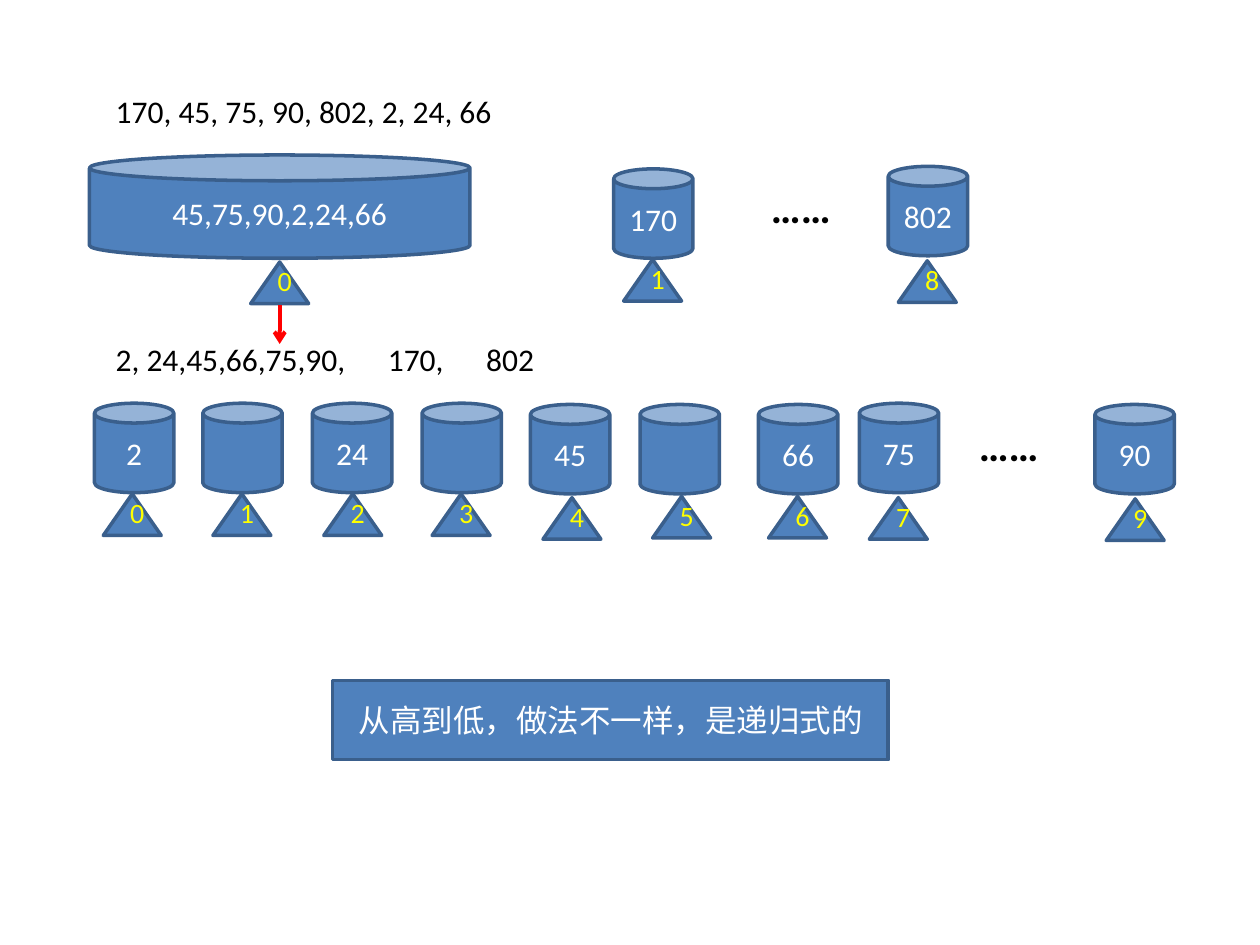
"""Builds a slide on recursive radix sort from the highest digit down."""
from dataclasses import dataclass

from lxml.etree import SubElement
from pptx import Presentation
from pptx.dml.color import RGBColor
from pptx.enum.shapes import MSO_CONNECTOR, MSO_SHAPE
from pptx.enum.text import MSO_ANCHOR, MSO_AUTO_SIZE, PP_ALIGN
from pptx.oxml.ns import qn
from pptx.util import Inches, Pt


@dataclass(frozen=True)
class Theme:
    font: str = "Calibri"
    fill: RGBColor = RGBColor(0x4F, 0x81, 0xBD)
    outline: RGBColor = RGBColor(0x3A, 0x5F, 0x8C)
    arrow: RGBColor = RGBColor(0xFF, 0x00, 0x00)
    dark: RGBColor = RGBColor(0x00, 0x00, 0x00)
    light: RGBColor = RGBColor(0xFF, 0xFF, 0xFF)
    digit: RGBColor = RGBColor(0xFF, 0xFF, 0x00)
    body_size: int = 18
    digit_size: int = 16
    dots_size: int = 24


theme = Theme()


def add_run(paragraph, text, size, color, bold=False):
    run = paragraph.add_run()
    run.text = text
    run.font.name = theme.font
    run.font.size = Pt(size)
    run.font.bold = bold
    run.font.color.rgb = color


def add_block(kind, box, text, size=theme.body_size, color=theme.light, anchor=MSO_ANCHOR.MIDDLE):
    shape = slide.shapes.add_shape(kind, *map(Inches, box))
    shape.shadow.inherit = False
    shape.fill.solid()
    shape.fill.fore_color.rgb = theme.fill
    shape.line.color.rgb = theme.outline
    shape.line.width = Pt(2)
    shape.text_frame.vertical_anchor = anchor
    if text:
        paragraph = shape.text_frame.paragraphs[0]
        paragraph.alignment = PP_ALIGN.CENTER
        add_run(paragraph, text, size, color)


presentation = Presentation()
presentation.slide_width = Inches(10)
presentation.slide_height = Inches(7.5)
slide = presentation.slides.add_slide(presentation.slide_layouts[6])

labels = [
    ((0.82, 0.68, 3.22, 0.4), "170, 45, 75, 90, 802, 2, 24, 66", theme.body_size, False, []),
    ((0.82, 2.65, 3.57, 0.4), "2, 24,45,66,75,90,\t170,\t802", theme.body_size, False, [2.16, 2.94]),
    ((6.02, 1.39, 1.33, 0.5), "……", theme.dots_size, True, []),
    ((7.67, 3.28, 1.33, 0.5), "……", theme.dots_size, True, []),
]
for box, text, size, bold, tab_stops in labels:
    text_box = slide.shapes.add_textbox(*map(Inches, box))
    text_box.text_frame.word_wrap = bold or bool(tab_stops)
    text_box.text_frame.auto_size = MSO_AUTO_SIZE.SHAPE_TO_FIT_TEXT
    paragraph = text_box.text_frame.paragraphs[0]
    if tab_stops:
        tab_list = SubElement(paragraph._p.get_or_add_pPr(), qn("a:tabLst"))
        for position in tab_stops:
            SubElement(tab_list, qn("a:tab"), pos=str(Inches(position)), algn="l")
    add_run(paragraph, text, size, theme.dark, bold)

can_width, can_height = 0.63, 0.71
triangle_width, triangle_height = 0.46, 0.33
buckets = [
    ("0", "45,75,90,2,24,66", 0.71, 1.23, 3.02, 0.82, 1.99, 2.08),
    ("1", "170", 4.87, 1.34, can_width, can_height, 4.95, 2.06),
    ("8", "802", 7.05, 1.32, can_width, can_height, 7.13, 2.07),
]
tens_buckets = [
    ("2", 0.75, 3.2, 0.82, 3.92),
    ("", 1.61, 3.2, 1.69, 3.92),
    ("24", 2.48, 3.2, 2.57, 3.92),
    ("", 3.35, 3.2, 3.43, 3.92),
    ("45", 4.21, 3.21, 4.31, 3.95),
    ("", 5.08, 3.21, 5.18, 3.94),
    ("66", 6.02, 3.21, 6.1, 3.94),
    ("75", 6.82, 3.2, 6.9, 3.95),
    ("90", 8.69, 3.21, 8.78, 3.96),
]
for digit, (content, left, top, triangle_left, triangle_top) in zip("012345679", tens_buckets):
    buckets.append((digit, content, left, top, can_width, can_height, triangle_left, triangle_top))

for digit, content, left, top, width, height, triangle_left, triangle_top in buckets:
    add_block(MSO_SHAPE.CAN, (left, top, width, height), content)
    triangle_box = (triangle_left, triangle_top, triangle_width, triangle_height)
    add_block(MSO_SHAPE.ISOSCELES_TRIANGLE, triangle_box, digit,
              theme.digit_size, theme.digit, MSO_ANCHOR.BOTTOM)

arrow = slide.shapes.add_connector(
    MSO_CONNECTOR.STRAIGHT, Inches(2.22), Inches(2.42), Inches(2.22), Inches(2.73))
arrow.line.color.rgb = theme.arrow
arrow.line.width = Pt(2.25)
SubElement(arrow.line._get_or_add_ln(), qn("a:tailEnd"), type="arrow")
SubElement(arrow._element.spPr, qn("a:effectLst"))

add_block(MSO_SHAPE.RECTANGLE, (2.64, 5.4, 4.41, 0.63), "从高到低，做法不一样，是递归式的")

presentation.save("out.pptx")
